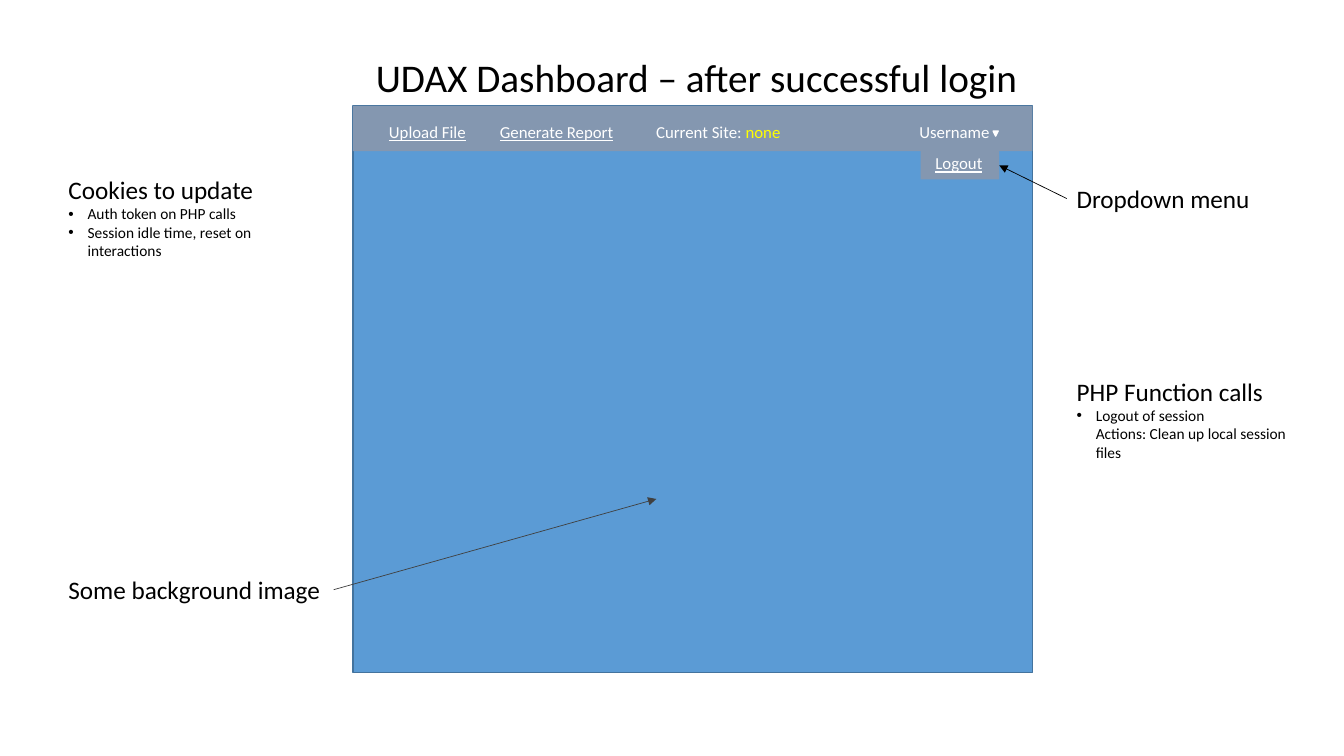
from dataclasses import dataclass

from lxml.etree import SubElement
from pptx import Presentation
from pptx.dml.color import RGBColor
from pptx.enum.shapes import MSO_CONNECTOR, MSO_SHAPE
from pptx.enum.text import MSO_AUTO_SIZE
from pptx.oxml.ns import qn
from pptx.util import Inches, Pt


@dataclass(frozen=True)
class Theme:
    """Colours, font and type sizes of the slide."""
    font: str = "Calibri"
    ink: str = "000000"
    light: str = "FFFFFF"
    accent: str = "FFFF00"
    page: str = "5B9BD5"
    page_edge: str = "43739E"
    bar: str = "8497B0"
    pointer: str = "404040"
    title: int = 28
    heading: int = 18
    menu: int = 12
    detail: int = 11


THEME = Theme()


def add_block(slide, box, fill, edge=None, preset=MSO_SHAPE.RECTANGLE):
    """Add a filled shape, outlined only when an edge colour is given."""
    block = slide.shapes.add_shape(preset, *map(Inches, box))
    block.shadow.inherit = False
    block.fill.solid()
    block.fill.fore_color.rgb = RGBColor.from_string(fill)
    if edge:
        block.line.color.rgb = RGBColor.from_string(edge)
        block.line.width = Pt(1)
    else:
        block.line.fill.background()
    return block


def add_run(paragraph, wording, size, color=THEME.ink, underline=None):
    """Append one styled run to a paragraph."""
    run = paragraph.add_run()
    run.text = wording
    run.font.name = THEME.font
    run.font.size = Pt(size)
    run.font.color.rgb = RGBColor.from_string(color)
    run.font.underline = underline


def add_label(slide, box, wording, size, color=THEME.ink, underline=None, wrap=False):
    """Add a text box with one line and return its text frame."""
    frame = slide.shapes.add_textbox(*map(Inches, box)).text_frame
    frame.word_wrap = wrap
    frame.auto_size = MSO_AUTO_SIZE.SHAPE_TO_FIT_TEXT
    add_run(frame.paragraphs[0], wording, size, color, underline)
    return frame


def add_note(slide, box, heading, items):
    """Add a heading with bullets; each item is a list of its lines."""
    frame = add_label(slide, box, heading, THEME.heading, wrap=True)
    for lines in items:
        paragraph = frame.add_paragraph()
        properties = paragraph._p.get_or_add_pPr()
        properties.set("marL", str(Inches(0.19)))
        properties.set("indent", str(-Inches(0.19)))
        SubElement(properties, qn("a:buFont"), typeface="Arial")
        SubElement(properties, qn("a:buChar"), char="•")
        for number, line in enumerate(lines):
            if number:
                paragraph.add_line_break()
            add_run(paragraph, line, THEME.detail)


def add_arrow(slide, start, end, color):
    """Add a thin straight arrow from start to end."""
    arrow = slide.shapes.add_connector(
        MSO_CONNECTOR.STRAIGHT, *map(Inches, (*start, *end)))
    arrow.line.color.rgb = RGBColor.from_string(color)
    arrow.line.width = Pt(0.5)
    SubElement(arrow.line._get_or_add_ln(), qn("a:tailEnd"), type="triangle")
    SubElement(arrow._element.spPr, qn("a:effectLst"))


def add_menu(slide, left, top, width):
    """Add the navigation bar with its links, site status and user menu."""
    add_block(slide, (left, top, width, 0.45), THEME.bar)
    entries = [
        (3.76, 0.97, "Upload File", True),
        (4.86, 1.34, "Generate Report", True),
        (9.02, 0.91, "Username", None),
    ]
    for entry_left, entry_width, wording, underline in entries:
        add_label(slide, (entry_left, 1.16, entry_width, 0.3), wording,
                  THEME.menu, THEME.light, underline)
    site = add_label(slide, (6.41, 1.16, 1.44, 0.3), "Current Site: ",
                     THEME.menu, THEME.light)
    add_run(site.paragraphs[0], "none", THEME.menu, THEME.accent)

    caret = add_block(slide, (9.85, 1.3, 0.05, 0.05), THEME.light, THEME.light,
                      MSO_SHAPE.ISOSCELES_TRIANGLE)
    caret.rotation = 180
    add_block(slide, (9.13, 1.5, 0.78, 0.28), THEME.bar)
    add_label(slide, (9.18, 1.47, 0.67, 0.3), "Logout",
              THEME.menu, THEME.light, True)


def main():
    """Build the dashboard mock-up slide and save it."""
    deck = Presentation()
    deck.slide_width, deck.slide_height = Inches(13.33), Inches(7.5)
    slide = deck.slides.add_slide(deck.slide_layouts[6])

    page_left, page_top, page_width = 3.5, 1.05, 6.74
    left_notes, right_notes = 0.58, 10.58

    add_block(slide, (page_left, page_top, page_width, 5.62),
              THEME.page, THEME.page_edge)
    add_label(slide, (3.63, 0.48, 6.8, 0.57),
              "UDAX Dashboard – after successful login", THEME.title)
    add_menu(slide, page_left, page_top, page_width)

    add_note(slide, (left_notes, 1.68, 2.6, 0.96), "Cookies to update",
             [["Auth token on PHP calls"],
              ["Session idle time, reset on interactions"]])
    add_note(slide, (right_notes, 3.68, 2.43, 0.96), "PHP Function calls",
             [["Logout of session", "Actions: Clean up local session files"]])

    add_label(slide, (left_notes, 5.65, 2.73, 0.4), "Some background image",
              THEME.heading)
    add_arrow(slide, (3.31, 5.85), (6.51, 4.95), THEME.pointer)
    add_label(slide, (right_notes, 1.77, 2, 0.4), "Dropdown menu", THEME.heading)
    add_arrow(slide, (right_notes, 1.97), (9.91, 1.64), THEME.ink)

    deck.save("out.pptx")


main()
